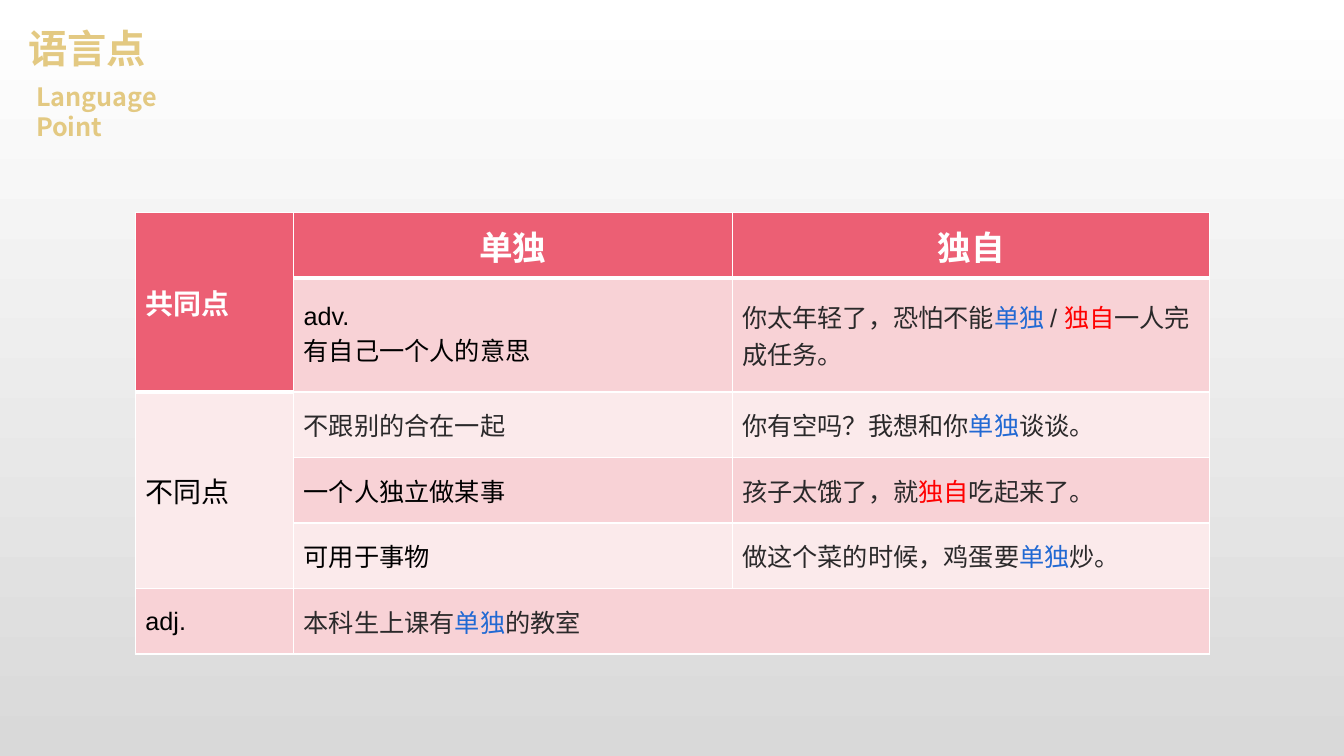
from dataclasses import dataclass
from itertools import product

from lxml.etree import SubElement
from pptx import Presentation
from pptx.dml.color import RGBColor
from pptx.enum.text import MSO_ANCHOR, MSO_AUTO_SIZE, PP_ALIGN
from pptx.oxml import parse_xml
from pptx.oxml.ns import nsdecls, qn
from pptx.util import Cm, Pt

WHITE = RGBColor(0xFF, 0xFF, 0xFF)
GREY = RGBColor(0xD9, 0xD9, 0xD9)
GOLD = RGBColor(0xE3, 0xC9, 0x82)
ROSE = RGBColor(0xEC, 0x5F, 0x74)
PINK = RGBColor(0xF8, 0xD2, 0xD6)
PALE = RGBColor(0xFB, 0xEA, 0xEB)
BLACK = RGBColor(0, 0, 0)
INK = RGBColor(0x2A, 0x29, 0x2A)
BLUE = RGBColor(0x21, 0x69, 0xD3)
RED = RGBColor(0xFF, 0, 0)

LATIN = "Arial"
HAN = "Noto Sans CJK SC"
TINTS = {"单独": BLUE, "独自": RED}
WIDTHS = (3.99, 11.05, 12.04)
HEIGHTS = (1.65, 2.87, 1.65, 1.65, 1.65, 1.65)
# Cells with the heavy rule beneath them, and those just below it
ABOVE = {(0, 0), (0, 1), (0, 2), (1, 0)}
BELOW = {(1, 1), (1, 2), (2, 0)}


@dataclass
class Entry:
    """A cell's text: a bar parts the runs, a new line the paragraphs."""
    row: int
    col: int
    text: str
    ink: RGBColor = BLACK
    size: int = 18
    bold: bool = False
    align: PP_ALIGN = PP_ALIGN.LEFT
    down: int = 1
    across: int = 1


@dataclass
class Label:
    text: str
    left: float
    top: float
    width: float
    height: float
    size: int


TITLE = Label("语言点", 0.46, 0.48, 17.58, 1.45, 28)
SUB = Label("Language Point", 0.66, 1.93, 5, 1.02, 18)

ENTRIES = (
    Entry(0, 0, "共同点", WHITE, 20, True, down=2),
    Entry(0, 1, "单独", WHITE, 24, True, PP_ALIGN.CENTER),
    Entry(0, 2, "独自", WHITE, 24, True, PP_ALIGN.CENTER),
    Entry(1, 1, "adv.\n有自己一个人的意思"),
    Entry(1, 2, "你太年轻了，恐怕不能|单独| / |独自|一人完成任务。", INK),
    Entry(2, 0, "不同点", size=20, down=3),
    Entry(2, 1, "不跟别的合在一起", INK),
    Entry(2, 2, "你有空吗？我想和你|单独|谈谈。", INK),
    Entry(3, 1, "一个人独立做某事"),
    Entry(3, 2, "孩子太饿了，就|独自|吃起来了。", INK),
    Entry(4, 1, "可用于事物"),
    Entry(4, 2, "做这个菜的时候，鸡蛋要|单独|炒。", INK),
    Entry(5, 0, "adj."),
    Entry(5, 1, "本科生上课有|单独|的教室", INK, across=2),
)


def style(run, size: int, color: RGBColor, bold: bool, face: str) -> None:
    font = run.font
    font.size, font.bold, font.name = Pt(size), bold, face
    font.color.rgb = color
    SubElement(font._element, qn("a:ea")).set("typeface", HAN)


def place(shape, label: Label) -> None:
    """Set a heading's box, text and look."""
    shape.left, shape.top = Cm(label.left), Cm(label.top)
    shape.width, shape.height = Cm(label.width), Cm(label.height)
    frame = shape.text_frame
    frame.text = label.text
    frame.word_wrap = True
    frame.auto_size = MSO_AUTO_SIZE.NONE
    frame.vertical_anchor = MSO_ANCHOR.TOP
    para = frame.paragraphs[0]
    para.alignment = PP_ALIGN.LEFT
    style(para.runs[0], label.size, GOLD, True, HAN)


def rule(cell, row: int, col: int) -> None:
    """Draw the white borders of a cell."""
    spot = (row, col)
    widths = {"L": 1, "R": 1,
              "T": 3 if spot in BELOW else 1,
              "B": 3 if spot in ABOVE else 1}
    props = cell._tc.get_or_add_tcPr()
    for place_no, (side, width) in enumerate(widths.items()):
        props.insert(place_no, parse_xml(
            f'<a:ln{side} {nsdecls("a")} w="{Pt(width)}"><a:solidFill>'
            f'<a:srgbClr val="{WHITE}"/></a:solidFill></a:ln{side}>'))


def write(cell, entry: Entry) -> None:
    frame = cell.text_frame
    frame.text = entry.text.replace("|", "")
    for para, line in zip(frame.paragraphs, entry.text.split("\n")):
        para.alignment = entry.align
        parts = line.split("|")
        para.runs[0].text = parts[0]
        for part in parts[1:]:
            para.add_run().text = part
        for run in para.runs:
            tint = TINTS.get(run.text, entry.ink) if len(parts) > 1 else entry.ink
            style(run, entry.size, tint, entry.bold, LATIN)


def fill_grid(grid) -> None:
    for col, width in zip(grid.columns, WIDTHS):
        col.width = Cm(width)
    for row, height in zip(grid.rows, HEIGHTS):
        row.height = Cm(height)
    for row, col in product(range(len(HEIGHTS)), range(len(WIDTHS))):
        cell = grid.cell(row, col)
        cell.vertical_anchor = MSO_ANCHOR.MIDDLE
        cell.fill.solid()
        band = PINK if row % 2 else PALE
        cell.fill.fore_color.rgb = ROSE if row == 0 or (row, col) == (1, 0) else band
        rule(cell, row, col)
    for entry in ENTRIES:
        cell = grid.cell(entry.row, entry.col)
        if entry.down > 1 or entry.across > 1:
            cell.merge(grid.cell(entry.row + entry.down - 1,
                                 entry.col + entry.across - 1))
        write(cell, entry)


def main() -> None:
    deck = Presentation()
    deck.slide_width, deck.slide_height = Cm(33.87), Cm(19.05)
    slide = deck.slides.add_slide(deck.slide_layouts[5])
    back = slide.background.fill
    back.gradient()
    back.gradient_angle = 270
    for stop, color in zip(back.gradient_stops, (WHITE, GREY)):
        stop.color.rgb = color
    place(slide.shapes.title, TITLE)
    place(slide.shapes.add_textbox(0, 0, 0, 0), SUB)
    frame = slide.shapes.add_table(len(HEIGHTS), len(WIDTHS), Cm(3.41), Cm(5.36),
                                   Cm(sum(WIDTHS)), Cm(sum(HEIGHTS)))
    fill_grid(frame.table)
    deck.save("out.pptx")


if __name__ == "__main__":
    main()
